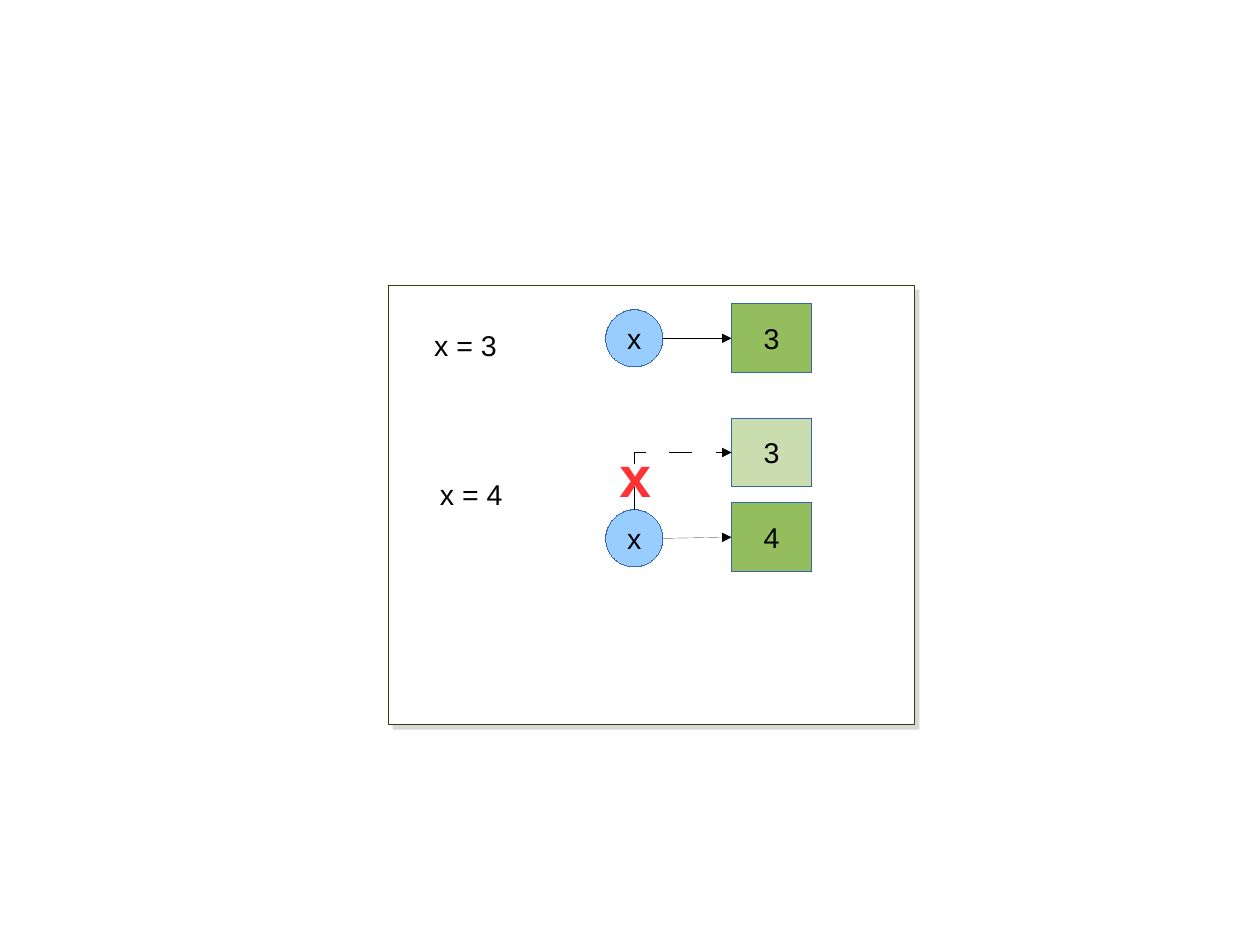
from lxml.etree import SubElement
from pptx import Presentation
from pptx.dml.color import RGBColor
from pptx.enum.shapes import MSO_CONNECTOR as Link, MSO_SHAPE as Shape
from pptx.enum.text import MSO_ANCHOR as Anchor, MSO_AUTO_SIZE as AutoSize, PP_ALIGN as Align
from pptx.oxml import parse_xml
from pptx.oxml.ns import nsdecls, qn
from pptx.util import Cm, Inches, Pt

COLORS = {"black": "000000", "white": "FFFFFF", "frame": "314004", "name": "99CCFF",
          "value": "94BD5E", "outline": "3465AF", "cross": "FF3333"}
NAME_COL, VALUE_COL = 5.3, 6.4
NAME_SIZE = 0.5
VALUE_WIDTH, VALUE_HEIGHT = 0.7, 0.6
FIRST_ROW, OLD_ROW, NEW_ROW = 2.96, 3.96, 4.7  # centre lines
NAME_ROW = 4.71


def write(box, text, size=18, ink="black", bold=False, centred=False):
    frame = box.text_frame
    frame.word_wrap = False
    para = frame.paragraphs[0]
    if centred:
        frame.vertical_anchor = Anchor.MIDDLE
        para.alignment = Align.CENTER
    else:
        frame.auto_size = AutoSize.SHAPE_TO_FIT_TEXT
        para.alignment = Align.LEFT
    span = para.add_run()
    span.text = text
    span.font.name, span.font.size, span.font.bold = "Arial", Pt(size), bold
    span.font.color.rgb = RGBColor.from_string(COLORS[ink])


def draw_line(shape, ink, width=0):
    """Set the line, dropping the theme style that would widen a hairline."""
    shape.element.remove(shape.element.find(qn("p:style")))
    shape.line.color.rgb = RGBColor.from_string(COLORS[ink])
    shape.line.width = Pt(width)


deck = Presentation()
deck.slide_width, deck.slide_height = Cm(28), Cm(21)
page = deck.slides.add_slide(deck.slide_layouts[6])
shapes = page.shapes

# Framed panel with a soft shadow
panel = shapes.add_shape(Shape.RECTANGLE, Inches(3.4), Inches(2.5), Inches(4.6), Inches(3.84))
panel.fill.solid()
panel.fill.fore_color.rgb = RGBColor.from_string(COLORS["white"])
draw_line(panel, "frame", 0.71)
panel.shadow.inherit = False
effects = panel.element.spPr.find(qn("a:effectLst"))
effects.append(parse_xml(
    f'<a:outerShdw {nsdecls("a")} dist="{Pt(4.1)}" dir="2700000" algn="tl" rotWithShape="0">'
    '<a:srgbClr val="808080"><a:alpha val="30000"/></a:srgbClr></a:outerShdw>'))

# Statements
for left, top, statement in [(3.7, 2.82, "x = 3"), (3.75, 4.12, "x = 4")]:
    box = shapes.add_textbox(Inches(left), Inches(top), Inches(0.75), Inches(0.38))
    write(box, statement)

# Names and the values they refer to
names = [("x", FIRST_ROW), ("x", NAME_ROW)]
values = [("3", FIRST_ROW, 100), ("3", OLD_ROW, 50), ("4", NEW_ROW, 100)]
nodes = [(Shape.OVAL, text, NAME_COL, row, NAME_SIZE, NAME_SIZE, "name", 100)
         for text, row in names]
nodes += [(Shape.RECTANGLE, text, VALUE_COL, row, VALUE_WIDTH, VALUE_HEIGHT, "value", opacity)
          for text, row, opacity in values]
for kind, text, left, row, width, height, fill, opacity in nodes:
    node = shapes.add_shape(kind, Inches(left), Inches(row - height / 2),
                            Inches(width), Inches(height))
    node.shadow.inherit = False
    node.fill.solid()
    node.fill.fore_color.rgb = RGBColor.from_string(COLORS[fill])
    if opacity < 100:
        tint = node.element.spPr.find(qn("a:solidFill"))[0]
        SubElement(tint, qn("a:alpha"), val=str(opacity * 1000))
    draw_line(node, "outline")
    write(node, text, centred=True)

# References; the elbow is laid out unturned, then rotated about its centre
name_right = NAME_COL + NAME_SIZE
name_middle = NAME_COL + NAME_SIZE / 2
name_top = NAME_ROW - NAME_SIZE / 2
middle_x, middle_y = (name_middle + VALUE_COL) / 2, (name_top + OLD_ROW) / 2
half_width, half_height = (name_top - OLD_ROW) / 2, (VALUE_COL - name_middle) / 2
references = [
    (Link.STRAIGHT, name_right, FIRST_ROW, VALUE_COL, FIRST_ROW),
    (Link.STRAIGHT, name_right, NAME_ROW, VALUE_COL, NEW_ROW),
    (Link.ELBOW, middle_x + half_width, middle_y + half_height,
     middle_x - half_width, middle_y - half_height),
]
for kind, *ends in references:
    arrow = shapes.add_connector(kind, *(Inches(end) for end in ends))
    draw_line(arrow, "black")
    props = arrow.element.spPr
    stroke = props.find(qn("a:ln"))
    if kind == Link.ELBOW:
        props.find(qn("a:prstGeom")).set("prst", "bentConnector2")
        props.find(qn("a:xfrm")).set("rot", "5400000")
        dashes = SubElement(stroke, qn("a:custDash"))
        SubElement(dashes, qn("a:ds"), d="1900000", sp="1900000")
    SubElement(stroke, qn("a:tailEnd"), type="triangle")
    SubElement(props, qn("a:effectLst"))

# Cross over the dropped reference
cross = shapes.add_textbox(Inches(5.32), Inches(3.8), Inches(0.48), Inches(0.66))
write(cross, "x", size=36, ink="cross", bold=True)

deck.save("out.pptx")
